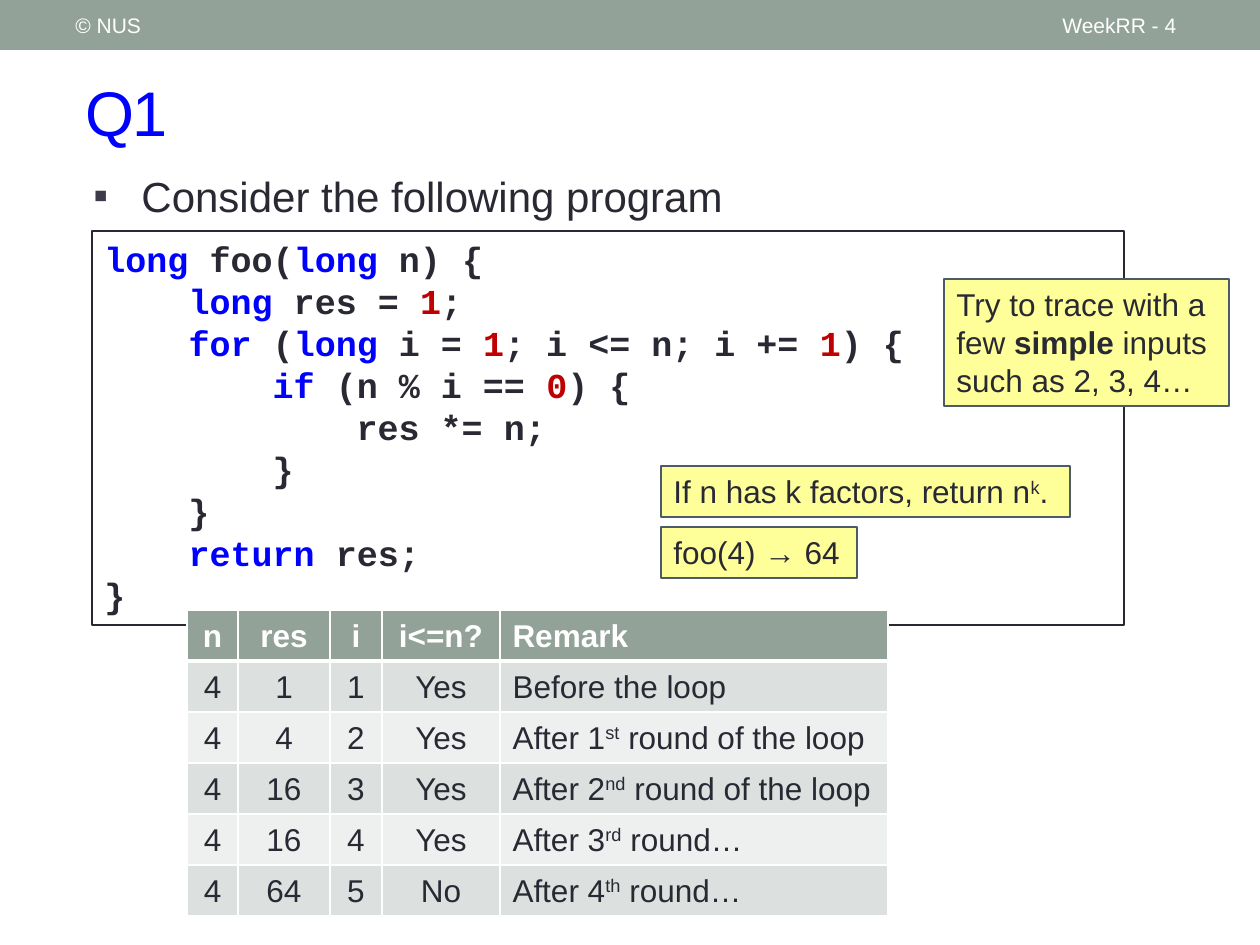
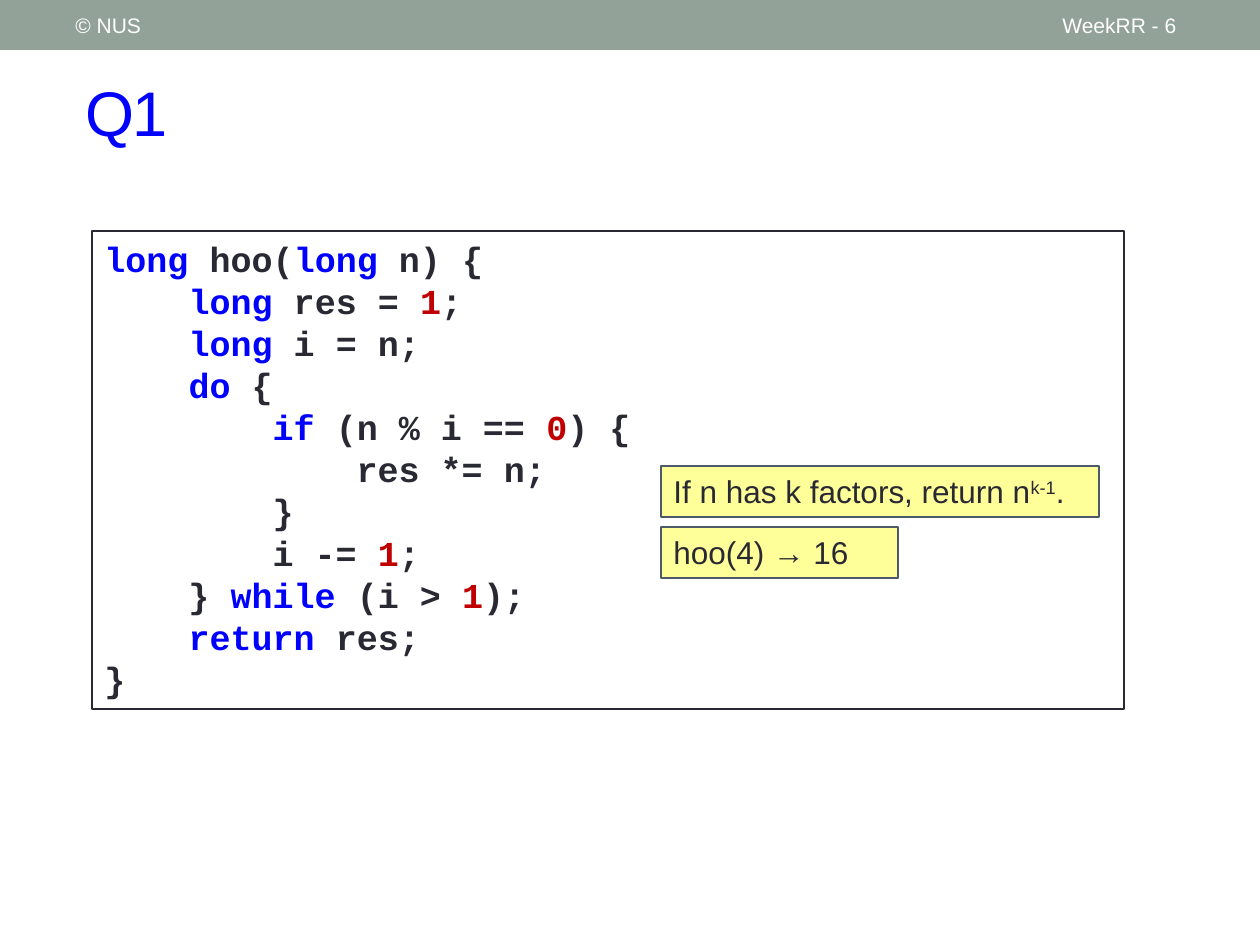
from itertools import groupby

from lxml.etree import SubElement
from pptx import Presentation
from pptx.dml.color import RGBColor
from pptx.enum.shapes import MSO_SHAPE
from pptx.enum.text import MSO_ANCHOR, PP_ALIGN
from pptx.oxml.ns import qn
from pptx.util import Pt

PX = 914400 / 126

WHITE = RGBColor(0xFF, 0xFF, 0xFF)
INK = RGBColor(0x29, 0x29, 0x34)
SAGE = RGBColor(0x93, 0xA2, 0x99)
BLUE = RGBColor(0x00, 0x00, 0xFF)
RED = RGBColor(0xC0, 0x00, 0x00)
NOTE_FILL = RGBColor(0xFF, 0xFF, 0x99)
NOTE_LINE = RGBColor(0x4C, 0x5A, 0x6A)
BULLET = RGBColor(0x3B, 0x3B, 0x4B)
ROW_FILLS = (RGBColor(0xDC, 0xE0, 0xDE), RGBColor(0xEE, 0xF0, 0xEF))

KEYWORDS = {"long", "for", "if", "return", "do", "while"}
SUPER, BOLD = "super", "bold"

FOO = """long foo(long n) {
    long res = 1;
    for (long i = 1; i <= n; i += 1) {
        if (n % i == 0) {
            res *= n;
        }
    }
    return res;
}"""

HOO = """long hoo(long n) {
    long res = 1;
    long i = n;
    do {
        if (n % i == 0) {
            res *= n;
        }
        i -= 1;
    } while (i > 1);
    return res;
}"""

TRACE_HEADER = ["n", "res", "i", "i<=n?", "Remark"]
TRACE_ROWS = [
    ["4", "1", "1", "Yes", "Before the loop"],
    ["4", "4", "2", "Yes", ["After 1", ("st", SUPER), " round of the loop"]],
    ["4", "16", "3", "Yes", ["After 2", ("nd", SUPER), " round of the loop"]],
    ["4", "16", "4", "Yes", ["After 3", ("rd", SUPER), " round…"]],
    ["4", "64", "5", "No", ["After 4", ("th", SUPER), " round…"]],
]


def px(length):
    return round(length * PX)


def token_color(token):
    if token in KEYWORDS:
        return BLUE
    return RED if token.isdigit() else INK


def highlight(line):
    tokens = ["".join(chars) for _, chars in groupby(line, str.isalnum)]
    return [("".join(same), color) for color, same in groupby(tokens, token_color)]


class Deck:
    font = "Arial"
    code_font = "Courier New"

    def __init__(self):
        self.presentation = Presentation()
        self.presentation.slide_width = px(1260)
        self.presentation.slide_height = px(945)
        self.slide = None

    def start_slide(self, title, number):
        self.slide = self.presentation.slides.add_slide(self.presentation.slide_layouts[6])
        self.box(0, 0, 1260, 50, SAGE)
        heading = self.text(73, 53, 1155, 116, title, 36, BLUE, MSO_ANCHOR.MIDDLE)
        heading.runs[0]._r.get_or_add_rPr().set("spc", "-100")
        self.text(1050, 3, 147, 45, f"WeekRR - {number}", 12, WHITE, MSO_ANCHOR.MIDDLE)
        self.text(63, 3, 399, 45, "© NUS", 12, WHITE, MSO_ANCHOR.MIDDLE)

    def add_runs(self, paragraph, parts, size, color, font=None, bold=False):
        paragraph.line_spacing = Pt(size * 1.2)
        for part in [parts] if isinstance(parts, str) else parts:
            text, style = (part, None) if isinstance(part, str) else part
            run = paragraph.add_run()
            run.text = text
            run.font.name = font or self.font
            run.font.size = Pt(size)
            run.font.bold = bold or style == BOLD
            run.font.color.rgb = style if isinstance(style, RGBColor) else color
            if style == SUPER:
                run._r.get_or_add_rPr().set("baseline", "30000")

    def text(self, left, top, width, height, parts, size, color, anchor=MSO_ANCHOR.TOP):
        frame = self.slide.shapes.add_textbox(px(left), px(top), px(width), px(height)).text_frame
        frame.word_wrap = True
        frame.vertical_anchor = anchor
        self.add_runs(frame.paragraphs[0], parts, size, color)
        return frame.paragraphs[0]

    def bullet(self, sentence):
        paragraph = self.text(81, 164, 1143, 60, sentence, 24, INK)
        properties = paragraph._p.get_or_add_pPr()
        properties.set("marL", str(px(48)))
        properties.set("indent", str(-px(48)))
        color = SubElement(properties, qn("a:buClr"))
        SubElement(color, qn("a:srgbClr"), val=str(BULLET))
        SubElement(properties, qn("a:buFont"), typeface=self.font)
        SubElement(properties, qn("a:buChar"), char="▪")

    def box(self, left, top, width, height, fill, line=None, line_width=1):
        shape = self.slide.shapes.add_shape(
            MSO_SHAPE.RECTANGLE, px(left), px(top), px(width), px(height))
        shape.shadow.inherit = False
        shape.fill.solid()
        shape.fill.fore_color.rgb = fill
        if line is None:
            shape.line.fill.background()
        else:
            shape.line.color.rgb = line
            shape.line.width = Pt(line_width)
        frame = shape.text_frame
        frame.word_wrap = True
        frame.vertical_anchor = MSO_ANCHOR.TOP
        frame.paragraphs[0].alignment = PP_ALIGN.LEFT
        return frame

    def code(self, source):
        lines = source.split("\n")
        frame = self.box(92, 231, 1032, 16 + 42 * len(lines), WHITE, INK, 1.5)
        for index, line in enumerate(lines):
            paragraph = frame.add_paragraph() if index else frame.paragraphs[0]
            paragraph.alignment = PP_ALIGN.LEFT
            self.add_runs(paragraph, highlight(line), 20, INK, self.code_font, True)

    def note(self, left, top, width, height, parts):
        frame = self.box(left, top, width, height, NOTE_FILL, NOTE_LINE)
        self.add_runs(frame.paragraphs[0], parts, 18, INK)

    def answer(self, power, power_width, call, call_width):
        rule = ["If n has k factors, return n", (power, SUPER), "."]
        self.note(661, 466, power_width, 51, rule)
        self.note(661, 527, call_width, 51, call)

    def borders(self, cell, top, bottom):
        properties = cell._tc.get_or_add_tcPr()
        for side, width in (("L", 1), ("R", 1), ("T", top), ("B", bottom)):
            border = SubElement(properties, qn(f"a:ln{side}"), w=str(int(Pt(width))))
            fill = SubElement(border, qn("a:solidFill"))
            SubElement(fill, qn("a:srgbClr"), val=str(WHITE))

    def table(self, left, top, widths, row_height, header, rows):
        grid = [header] + rows
        table = self.slide.shapes.add_table(
            len(grid), len(widths), px(left), px(top),
            px(sum(widths)), px(row_height * len(grid))).table
        for column, width in zip(table.columns, widths):
            column.width = px(width)
        for r, values in enumerate(grid):
            table.rows[r].height = px(row_height)
            for c, value in enumerate(values):
                cell = table.cell(r, c)
                self.borders(cell, 3 if r == 1 else 1, 3 if r == 0 else 1)
                cell.fill.solid()
                cell.fill.fore_color.rgb = ROW_FILLS[(r - 1) % 2] if r else SAGE
                paragraph = cell.text_frame.paragraphs[0]
                is_remark = c == len(widths) - 1
                paragraph.alignment = PP_ALIGN.LEFT if is_remark else PP_ALIGN.CENTER
                self.add_runs(paragraph, value, 18, INK if r else WHITE, bold=r == 0)


def main():
    deck = Deck()

    deck.start_slide("Q1", 4)
    deck.bullet("Consider the following program")
    deck.code(FOO)
    deck.answer("k", 409, "foo(4) → 64", 196)
    deck.note(944, 279, 285, 127,
              ["Try to trace with a few ", ("simple", BOLD), " inputs such as 2, 3, 4…"])
    deck.table(187, 610, [51, 92, 52, 118, 388], 51, TRACE_HEADER, TRACE_ROWS)

    deck.start_slide("Q1", 6)
    deck.code(HOO)
    deck.answer("k-1", 438, "hoo(4) → 16", 237)

    deck.presentation.save("out.pptx")


if __name__ == "__main__":
    main()
